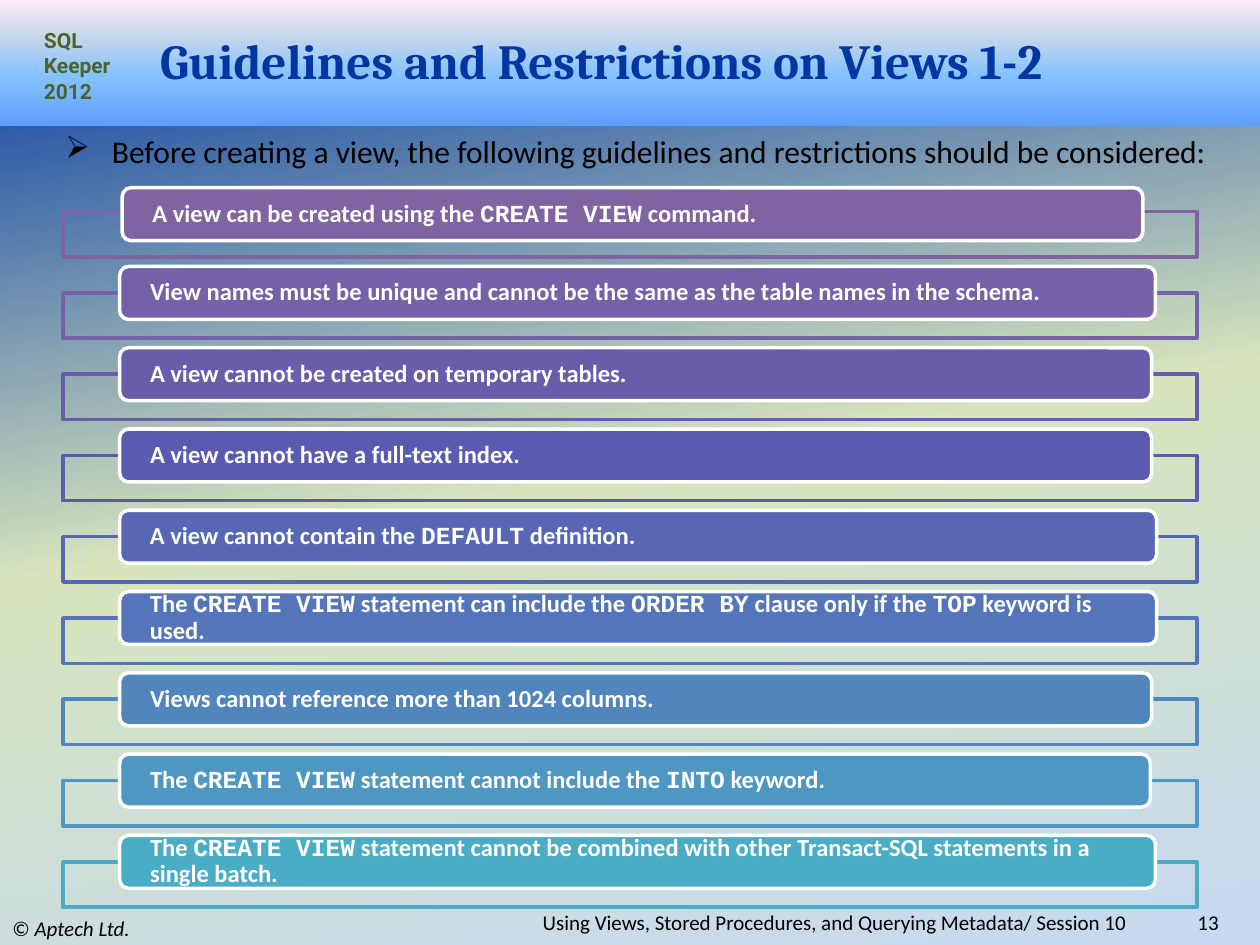
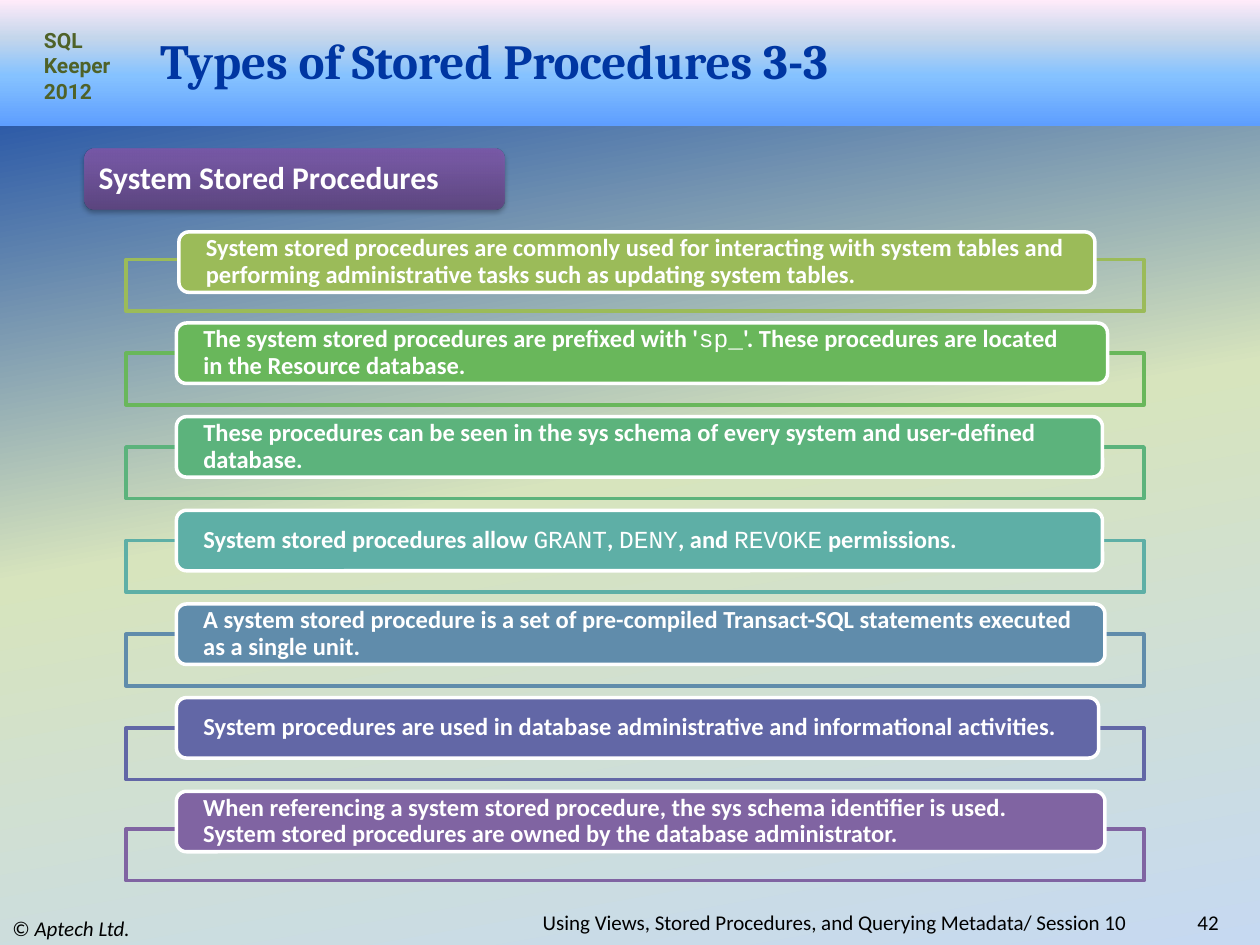
from lxml import etree
from pptx import Presentation
from pptx.dml.color import RGBColor
from pptx.enum.shapes import MSO_SHAPE as Shape
from pptx.enum.text import MSO_ANCHOR as Anchor, MSO_AUTO_SIZE as AutoSize, PP_ALIGN as Align
from pptx.oxml.ns import qn
from pptx.util import Inches, Pt

COLOURS = {
    "navy": "0036A2", "black": "000000", "white": "FFFFFF", "olive": "4F6228",
    "outline": "C00000",
}
GRADIENTS = {
    "background": {0: "0036A2", 50: "D7E4BD", 100: "C6D9F1"},
    "band": {0: "5E9EFF", 40: "85C2FF", 70: "C4D6EB", 100: "FFEBFA"},
    "tag": {0: "5F4480", 80: "7B58A6", 100: "7C57A8"},
}
ROW_COLOURS = {
    "views": ["8064A2", "7561A7", "685DAB", "5A5BB0", "5767B4",
              "5475B9", "5185BD", "4E97C2", "4BACC6"],
    "procedures": ["9BBB59", "69B75B", "5CB37C", "5EAFA6", "608CAB", "6267A6", "8064A2"],
}
BODY_FONT, TITLE_FONT, CODE_FONT, LABEL_FONT = "Calibri", "Cambria", "Courier New", "Roboto"
FOOTER = "Using Views, Stored Procedures, and Querying Metadata/ Session 10 "

# Each row is its box width and its text; backticks enclose code.
VIEW_ROWS = [
    (8.10, "A view can be created using the `CREATE VIEW` command."),
    (8.22, "View names must be unique and cannot be the same as the table names in the schema."),
    (8.19, "A view cannot be created on temporary tables."),
    (8.19, "A view cannot have a full-text index."),
    (8.23, "A view cannot contain the `DEFAULT` definition."),
    (8.23, "The `CREATE VIEW` statement can include the `ORDER BY` clause only if the `TOP` "
           "keyword is used."),
    (8.19, "Views cannot reference more than 1024 columns."),
    (8.18, "The `CREATE VIEW` statement cannot include the `INTO` keyword."),
    (8.22, "The `CREATE VIEW` statement cannot be combined with other Transact-SQL statements "
           "in a single batch."),
]
PROCEDURE_ROWS = [
    (7.27, "System stored procedures are commonly used for interacting with system tables and "
           "performing administrative tasks such as updating system tables."),
    (7.39, "The system stored procedures are prefixed with '`sp_`'. These procedures are located "
           "in the Resource database."),
    (7.35, "These procedures can be seen in the sys schema of every system and user-defined "
           "database."),
    (7.35, "System stored procedures allow `GRANT`, `DENY`, and `REVOKE` permissions."),
    (7.37, "A system stored procedure is a set of pre-compiled Transact-SQL statements executed "
           "as a single unit."),
    (7.32, "System procedures are used in database administrative and informational activities."),
    (7.37, "When referencing a system stored procedure, the sys schema identifier is used. "
           "System stored procedures are owned by the database administrator."),
]


def rgb(value):
    return RGBColor.from_string(value)


def add_node(parent, tag, **attributes):
    return etree.SubElement(parent, qn(tag), {key: str(value) for key, value in attributes.items()})


def add_colour(parent, value, alpha=100):
    node = add_node(parent, "a:srgbClr", val=value)
    if alpha < 100:
        add_node(node, "a:alpha", val=alpha * 1000)


def fill_gradient(fill, element, stops, angle, alpha=100):
    """Fill with any number of stops; the angle runs clockwise."""
    fill.gradient()
    fill.gradient_angle = 360 - angle
    stop_list = element.find(".//" + qn("a:gsLst"))
    for stop in list(stop_list):
        stop_list.remove(stop)
    for position, value in stops.items():
        add_colour(add_node(stop_list, "a:gs", pos=position * 1000), value, alpha)


def add_run(paragraph, text, size, colour, font=BODY_FONT, bold=False, italic=False):
    run = paragraph.add_run()
    run.text = text
    run.font.size = Pt(size)
    run.font.name = font
    run.font.bold = bold
    run.font.italic = italic
    run.font.color.rgb = rgb(COLOURS[colour])
    return run


def add_text_box(slide, left, top, width, height, anchor=Anchor.MIDDLE, align=Align.LEFT):
    """Add an empty text box and return its first paragraph."""
    box = slide.shapes.add_textbox(Inches(left), Inches(top), Inches(width), Inches(height))
    frame = box.text_frame
    frame.word_wrap = True
    frame.vertical_anchor = anchor
    frame.paragraphs[0].alignment = align
    return frame.paragraphs[0]


def add_box(slide, kind, left, top, width, height, fill=None, line=None):
    shape = slide.shapes.add_shape(kind, Inches(left), Inches(top), Inches(width), Inches(height))
    shape.shadow.inherit = False
    if fill:
        shape.fill.solid()
        shape.fill.fore_color.rgb = rgb(fill)
    else:
        shape.fill.background()
    if line:
        shape.line.color.rgb = rgb(line)
        shape.line.width = Pt(2)
    else:
        shape.line.fill.background()
    return shape


def prepare_box_text(shape, inset):
    frame = shape.text_frame
    frame.word_wrap = True
    frame.vertical_anchor = Anchor.MIDDLE
    frame.margin_left = frame.margin_right = Inches(inset)
    frame.margin_top = frame.margin_bottom = 0
    paragraph = frame.paragraphs[0]
    paragraph.alignment = Align.LEFT
    paragraph.line_spacing = 0.9
    return paragraph


def set_title(slide, text):
    title = slide.shapes.title
    title.left, title.top = Inches(1.17), Inches(0.25)
    title.width, title.height = Inches(8.33), Inches(0.45)
    frame = title.text_frame
    frame.auto_size = AutoSize.NONE
    frame.word_wrap = True
    frame.vertical_anchor = Anchor.MIDDLE
    frame.paragraphs[0].alignment = Align.LEFT
    run = add_run(frame.paragraphs[0], text, 28, "navy", TITLE_FONT, bold=True)
    properties = run._r.get_or_add_rPr()
    outline = add_node(properties, "a:ln", w=Pt(0.07))
    add_colour(add_node(outline, "a:solidFill"), COLOURS["outline"], 55)
    properties.insert(0, outline)


def add_slide(presentation, title, number):
    """Add a slide with its band, title, course label and footers."""
    slide = presentation.slides.add_slide(presentation.slide_layouts[5])
    band = add_box(slide, Shape.RECTANGLE, 0, 0, 10, 1)
    fill_gradient(band.fill, band._element, GRADIENTS["band"], 270)
    slide.shapes._spTree.insert(2, band._element)
    set_title(slide, title)

    label = add_text_box(slide, 0.25, 0.17, 0.75, 0.71, Anchor.TOP)
    add_run(label, "SQL Keeper 2012", 12, "olive", LABEL_FONT, bold=True)
    copyright_line = add_text_box(slide, 0, 7.23, 3.33, 0.27)
    add_run(copyright_line, "© ", 12, "black")
    add_run(copyright_line, "Aptech Ltd.", 12, "black", italic=True)
    for text, left, width in ((str(number), 8.92, 0.85), (FOOTER, 2.5, 6.58)):
        footer = add_text_box(slide, left, 7.23, width, 0.18, align=Align.RIGHT)
        add_run(footer, text, 12, "black")
    return slide


def add_bullet(slide, text):
    paragraph = add_text_box(slide, 0.42, 1, 9.42, 0.4, Anchor.TOP)
    properties = paragraph._p.get_or_add_pPr()
    properties.set("marL", str(Inches(0.37)))
    properties.set("indent", str(-Inches(0.37)))
    add_node(properties, "a:buChar", char="➢")
    add_run(paragraph, text, 18, "black")


def add_tag(slide, text):
    tag = add_box(slide, Shape.ROUNDED_RECTANGLE, 0.67, 1.18, 3.33, 0.48)
    fill_gradient(tag.fill, tag._element, GRADIENTS["tag"], 270, alpha=90)
    effects = tag._element.spPr.find(qn("a:effectLst"))
    shadow = add_node(effects, "a:outerShdw", blurRad=Pt(3.1), dist=Pt(1.8),
                      dir=90 * 60000, rotWithShape=0)
    add_colour(shadow, COLOURS["black"], 35)
    add_run(prepare_box_text(tag, 0.09), text, 18, "white", bold=True)


def add_rows(slide, rows, colours, frame_at, frame_size, box_at, box_height, step, inset,
             code_bold, last_drop=0):
    """Stack open frames, each with a coloured text box lying over its top edge."""
    for index, ((box_width, text), colour) in enumerate(zip(rows, colours)):
        drop = last_drop if index == len(rows) - 1 else 0
        shift = 0.02 if index == 0 else 0
        add_box(slide, Shape.RECTANGLE, frame_at[0], frame_at[1] + index * step + drop,
                *frame_size, line=colour)
        box = add_box(slide, Shape.ROUNDED_RECTANGLE, box_at[0] + shift,
                      box_at[1] + index * step + shift, box_width, box_height,
                      fill=colour, line=COLOURS["white"])
        paragraph = prepare_box_text(box, inset)
        for part, words in enumerate(text.split("`")):
            is_code = part % 2 == 1
            add_run(paragraph, words, 14, "white", CODE_FONT if is_code else BODY_FONT,
                    bold=code_bold or not is_code)


def main():
    presentation = Presentation()
    presentation.slide_width, presentation.slide_height = Inches(10), Inches(7.5)
    master = presentation.slide_master
    fill_gradient(master.background.fill, master._element, GRADIENTS["background"], 80)

    views = add_slide(presentation, "Guidelines and Restrictions on Views 1-2", 13)
    add_bullet(views, "Before creating a view, the following guidelines and restrictions "
                      "should be considered:")
    add_rows(views, VIEW_ROWS, ROW_COLOURS["views"], frame_at=(0.5, 1.68), frame_size=(9, 0.36),
             box_at=(0.95, 1.47), box_height=0.42, step=5.16 / 8, inset=0.22, code_bold=True)

    procedures = add_slide(presentation, "Types of Stored Procedures 3-3", 42)
    add_tag(procedures, "System Stored Procedures")
    add_rows(procedures, PROCEDURE_ROWS, ROW_COLOURS["procedures"], frame_at=(1, 2.06),
             frame_size=(8.08, 0.41), box_at=(1.4, 1.82), box_height=0.48, step=4.46 / 6,
             inset=0.19, code_bold=False, last_drop=0.06)

    presentation.save("out.pptx")


if __name__ == "__main__":
    main()
